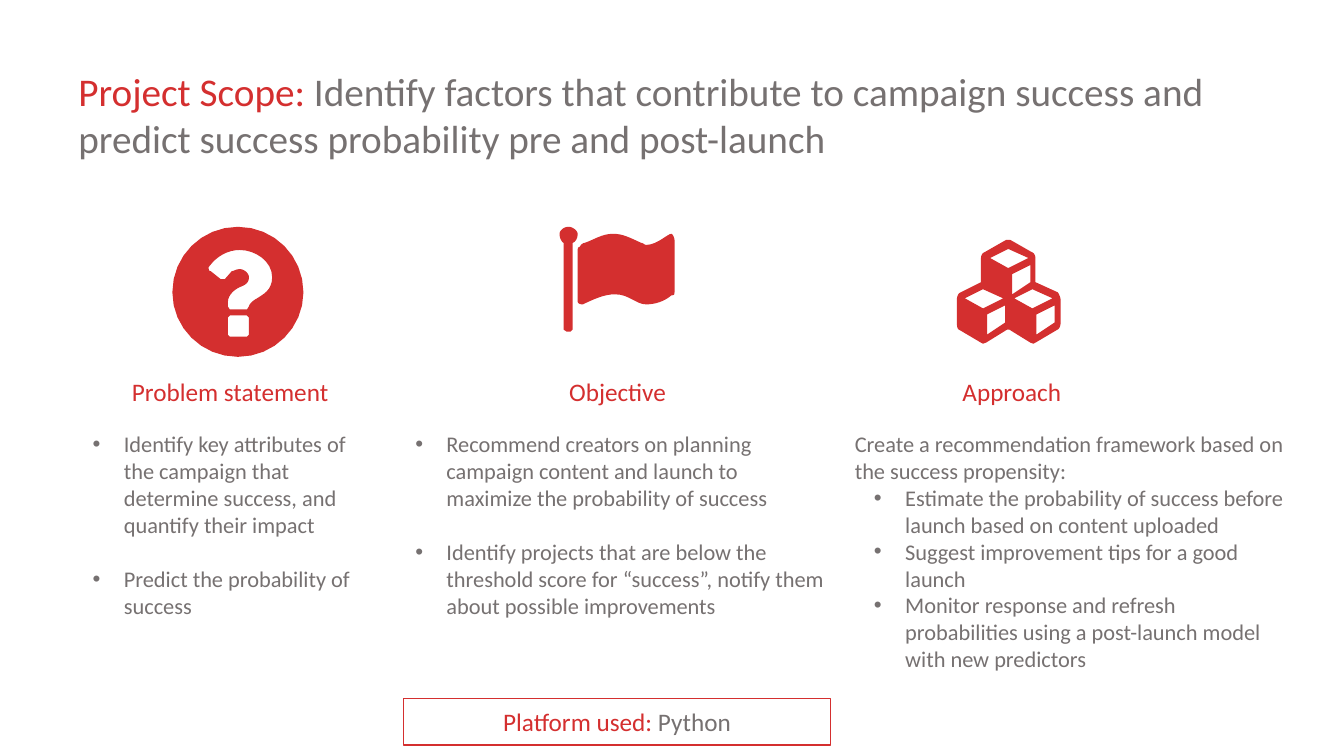
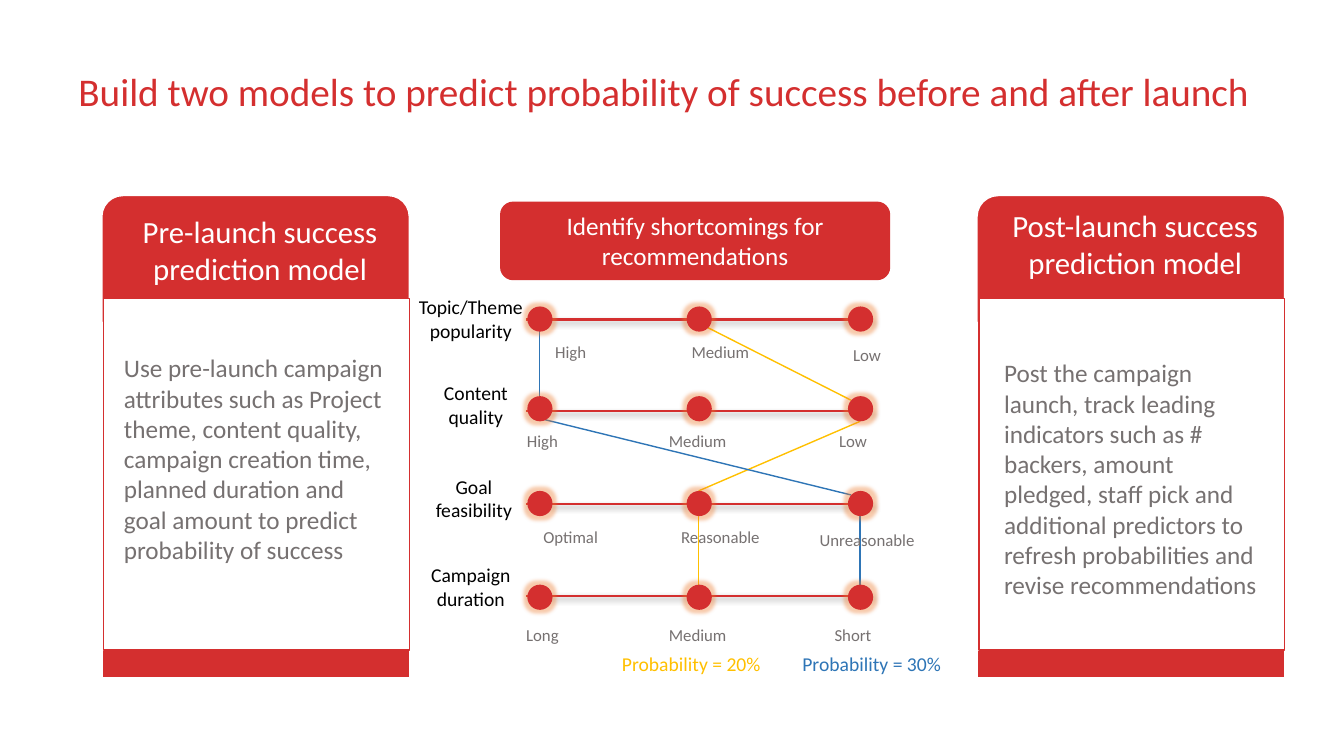
from dataclasses import dataclass

from pptx import Presentation
from pptx.dml.color import RGBColor
from pptx.enum.shapes import MSO_CONNECTOR, MSO_SHAPE
from pptx.enum.text import MSO_ANCHOR, PP_ALIGN
from pptx.oxml import parse_xml
from pptx.oxml.ns import nsdecls, qn
from pptx.oxml.xmlchemy import OxmlElement
from pptx.util import Pt

PX = 9144
CENTER = PP_ALIGN.CENTER


@dataclass(frozen=True)
class Theme:
    """Colours, font and type sizes shared by the slides."""
    font: str = "Calibri"
    red: str = "D42F2F"
    grey: str = "767171"
    black: str = "000000"
    white: str = "FFFFFF"
    yellow: str = "FFC000"
    blue: str = "2E75B6"
    glow: str = "ED7D31"
    title: int = 28
    card: int = 22
    head: int = 18
    body: int = 16
    label: int = 14
    small: int = 12


T = Theme()


def write(p, text, size=T.body, color=T.grey):
    """Add a formatted run to a paragraph."""
    r = p.add_run()
    r.text = text
    r.font.name = T.font
    r.font.size = Pt(size)
    r.font.color.rgb = RGBColor.from_string(color)


def bullet(p, left, hang):
    """Give a paragraph a hanging round bullet."""
    pPr = p._p.get_or_add_pPr()
    pPr.set("marL", str(left * PX))
    pPr.set("indent", str(-hang * PX))
    for tag, key, value in (("a:buFont", "typeface", "Arial"), ("a:buChar", "char", "•")):
        el = OxmlElement(tag)
        el.set(key, value)
        pPr.append(el)


def effect(shape, tag=None, color=T.black, alpha=40, **attrs):
    """Replace inherited effects with none or with a single one."""
    spPr = shape._element.spPr
    effects = spPr.find(qn("a:effectLst"))
    if effects is None:
        effects = OxmlElement("a:effectLst")
        spPr.append(effects)
    if tag:
        listed = " ".join(f'{k}="{v}"' for k, v in attrs.items())
        effects.append(parse_xml(
            f'<a:{tag} {nsdecls("a")} {listed}><a:srgbClr val="{color}">'
            f'<a:alpha val="{alpha * 1000}"/></a:srgbClr></a:{tag}>'))


def flatten(contour, steps=8):
    """Turn points and six-number Bezier curves into points in EMU."""
    points = []
    for step in contour:
        if len(step) == 2:
            points.append(step)
            continue
        x0, y0 = points[-1]
        x1, y1, x2, y2, x3, y3 = step
        for i in range(1, steps + 1):
            t = i / steps
            a, b, c, d = (1 - t) ** 3, 3 * t * (1 - t) ** 2, 3 * t * t * (1 - t), t ** 3
            points.append((a * x0 + b * x1 + c * x2 + d * x3,
                           a * y0 + b * y1 + c * y2 + d * y3))
    return [(round(x * PX), round(y * PX)) for x, y in points]


class Deck:
    """Holds the presentation, the current slide and the drawing style."""

    def __init__(self):
        self.prs = Presentation()
        self.prs.slide_width, self.prs.slide_height = 1333 * PX, 750 * PX
        self.s = None

    def slide(self):
        """Start a blank slide."""
        self.s = self.prs.slides.add_slide(self.prs.slide_layouts[6])

    def text(self, x, y, w, h, *runs, size=T.body, align=None):
        """Add a wrapped text box with one paragraph of (text, colour) runs."""
        tf = self.s.shapes.add_textbox(x * PX, y * PX, w * PX, h * PX).text_frame
        tf.word_wrap = True
        p = tf.paragraphs[0]
        p.alignment = align
        for text, color in runs:
            write(p, text, size=size, color=color)
        return tf

    def title(self, *runs, h=57):
        """Add the slide title."""
        self.text(68, 62, 1190, h, *runs, size=T.title)

    def bullets(self, x, y, w, h, items, intro=None, left=31, gap=0):
        """Add a bulleted list, optionally led by a plain paragraph."""
        tf = self.text(x, y, w, h, *([(intro, T.grey)] if intro else []))
        for i, item in enumerate(items):
            p = tf.add_paragraph() if i or intro else tf.paragraphs[0]
            bullet(p, left, 31)
            if i and gap:
                p.space_before = Pt(gap)
            write(p, item)

    def shape(self, kind, x, y, w, h, fill=None, line=None):
        """Add a preset shape."""
        sp = self.s.shapes.add_shape(kind, x * PX, y * PX, w * PX, h * PX)
        self.paint(sp, fill, line)
        return sp

    def paint(self, sp, fill=None, line=None):
        """Set the fill and outline of a shape and drop its shadow."""
        sp.shadow.inherit = False
        if fill:
            sp.fill.solid()
            sp.fill.fore_color.rgb = RGBColor.from_string(fill)
        else:
            sp.fill.background()
        if line:
            sp.line.color.rgb = RGBColor.from_string(line)
            sp.line.width = Pt(1)
        else:
            sp.line.fill.background()

    def caption(self, sp, *runs, anchor=MSO_ANCHOR.MIDDLE):
        """Write centred text inside a shape."""
        tf = sp.text_frame
        tf.word_wrap = True
        tf.vertical_anchor = anchor
        p = tf.paragraphs[0]
        p.alignment = CENTER
        for text, color in runs:
            write(p, text, size=T.head, color=color)

    def line(self, x1, y1, x2, y2, color=T.red, width=1):
        """Add a straight line."""
        c = self.s.shapes.add_connector(MSO_CONNECTOR.STRAIGHT, x1 * PX, y1 * PX, x2 * PX, y2 * PX)
        c.line.color.rgb = RGBColor.from_string(color)
        c.line.width = Pt(width)
        effect(c)
        return c

    def icon(self, contours):
        """Add a red freeform whose inner contours are holes."""
        first, *rest = [flatten(c) for c in contours]
        fb = self.s.shapes.build_freeform(*first[0], scale=1.0)
        fb.add_line_segments(first[1:], close=True)
        for points in rest:
            fb.move_to(*points[0])
            fb.add_line_segments(points[1:], close=True)
        self.paint(fb.convert_to_shape(), T.red)

    def card(self, x, name, name_y, body, body_x, body_y, body_h):
        """Add a model card with a header, a frame and a base band."""
        self.shape(MSO_SHAPE.ROUND_2_SAME_RECTANGLE, x, 194, 305, 126, T.red, T.white)
        self.shape(MSO_SHAPE.RECTANGLE, x, 645, 305, 27, T.red, T.white)
        self.shape(MSO_SHAPE.RECTANGLE, x + 2, 296, 303, 349, T.white, T.red)
        self.text(x + 5, name_y, 304, 84, (name, T.white), size=T.card, align=CENTER)
        self.text(body_x, body_y, 278, body_h, (body, T.grey), size=T.head)

    def scale(self, row):
        """Add one factor scale: rail, three glowing dots and labels."""
        rail = self.line(522, row.rail, 865, row.rail, width=1.5)
        effect(rail, "outerShdw", blurRad=50800, dist=38100, dir=2700000, algn="tl", rotWithShape=0)
        for x in (523, 681, 841):
            dot = self.shape(MSO_SHAPE.OVAL, x, row.dot, 25, 25, T.red)
            effect(dot, "glow", color=T.glow, rad=63500)
        x, y, w = row.name_at
        self.text(x, y, w, 57, (row.name, T.black), size=T.label, align=CENTER)
        for level, (x, w, drop) in zip(row.levels, row.columns):
            self.text(x, row.level_y + drop, w, 30, (level, T.grey), size=T.small, align=CENTER)


@dataclass
class Scale:
    """Wording and places of one factor scale."""
    name: str
    name_at: tuple
    rail: int
    dot: int
    levels: tuple
    level_y: int
    columns: tuple


WIDE = ((504, 124, 0), (645, 139, 0), (798, 124, 3))
NARROW = ((476, 124, 0), (630, 124, 0), (784, 124, 0))
SCALES = (
    Scale("Topic/Theme popularity", (404, 288, 126), 317, 304, ("High", "Medium", "Low"), 334, WIDE),
    Scale("Content quality", (421, 373, 102), 408, 393, ("High", "Medium", "Low"), 422, NARROW),
    Scale("Goal feasibility", (419, 466, 102), 500, 487, ("Optimal", "Reasonable", "Unreasonable"), 518, WIDE),
    Scale("Campaign duration", (416, 554, 102), 591, 580, ("Long", "Medium", "Short"), 615, NARROW),
)
ROUTES = {
    T.yellow: ((693, 512, 693, 580), (853, 418, 693, 487), (702, 325, 844, 397)),
    T.blue: ((853, 512, 853, 580), (535, 415, 844, 491), (535, 327, 535, 393)),
}

QUESTION = (
    ((236, 354), (200, 354, 171, 325, 171, 290), (171, 254, 200, 225, 236, 225),
     (272, 225, 301, 254, 301, 290), (301, 325, 272, 354, 236, 354)),
    ((238, 248), (226, 248, 215, 254, 207, 265), (207, 267, 207, 269, 209, 269),
     (219, 277), (223, 277), (230, 269), (232, 269, 234, 267, 238, 267),
     (242, 267, 247, 271, 247, 275), (247, 279, 245, 282, 240, 284),
     (234, 286, 226, 292, 226, 300), (226, 304), (228, 307), (245, 307), (247, 304),
     (247, 302, 251, 298, 255, 296), (261, 292, 270, 288, 270, 275),
     (270, 259, 253, 248, 238, 248)),
    ((247, 315), (245, 313), (228, 313), (226, 315), (226, 332), (228, 334), (245, 334), (247, 332)),
)
FLAG = (
    ((568, 241), (568, 327), (566, 329), (562, 329), (559, 327), (559, 241),
     (557, 240, 555, 236, 555, 232), (555, 229, 559, 225, 564, 225),
     (568, 225, 573, 229, 573, 232), (573, 236, 571, 240, 568, 241)),
    ((669, 290), (669, 292, 669, 293, 666, 293), (659, 299, 650, 302, 641, 302),
     (631, 302, 624, 292, 610, 292), (599, 292, 589, 297, 578, 302),
     (575, 302, 573, 301, 573, 299), (573, 249), (573, 247, 573, 245, 575, 245),
     (576, 243, 578, 241, 580, 241), (589, 238, 597, 232, 608, 232),
     (618, 232, 625, 236, 636, 241), (638, 241, 639, 243, 641, 243),
     (652, 243, 662, 232, 666, 232), (667, 232, 669, 236, 669, 238)),
)
CUBE_FACES = (((995, 296), (975, 287), (957, 296), (975, 306)),
              ((997, 320), (997, 303), (979, 312), (979, 332)))
CUBES = (
    ((1052, 320), (1052, 324, 1050, 327, 1049, 327), (1027, 340), (1025, 341), (1022, 340),
     (1001, 327), (999, 327), (978, 340), (975, 341), (973, 340), (951, 327),
     (950, 327, 949, 324, 949, 320), (949, 298), (949, 295, 950, 291, 953, 290),
     (973, 280), (973, 256), (973, 254, 974, 251, 977, 250), (998, 238), (1002, 238),
     (1023, 250), (1026, 251, 1027, 254, 1027, 256), (1027, 280), (1049, 290),
     (1050, 291, 1052, 295, 1052, 298)),
    *(tuple((x + dx, y + dy) for x, y in face)
      for dx, dy in ((0, 0), (25, -40), (49, 0)) for face in CUBE_FACES),
)


def scope_slide(deck):
    """Build the project scope slide."""
    deck.slide()
    deck.title(("Project Scope: ", T.red),
               ("Identify factors that contribute to campaign success and predict success "
                "probability pre and post-launch", T.grey), h=104)
    for x, head, align, icon in ((121, "Problem statement", None, QUESTION),
                                 (498, "Objective", CENTER, FLAG),
                                 (889, "Approach", CENTER, CUBES)):
        deck.icon(icon)
        deck.text(x, 368, 229, 40, (head, T.red), size=T.head, align=align)
    deck.bullets(82, 422, 295, 199, (
        "Identify key attributes of the campaign that determine success, and quantify their impact",
        "Predict the probability of success"), gap=19.5)
    deck.bullets(402, 422, 425, 199, (
        "Recommend creators on planning campaign content and launch to maximize the probability of success",
        "Identify projects that are below the threshold score for “success”, notify them about "
        "possible improvements"), gap=19.5)
    deck.bullets(838, 422, 447, 279, (
        "Estimate the probability of success before launch based on content uploaded",
        "Suggest improvement tips for a good launch",
        "Monitor response and refresh probabilities using a post-launch model with new predictors"),
        intro="Create a recommendation framework based on the success propensity:", left=50)
    box = deck.shape(MSO_SHAPE.RECTANGLE, 400, 693, 424, 46, line=T.red)
    deck.caption(box, ("Platform used: ", T.red), ("Python", T.grey))


def models_slide(deck):
    """Build the two models slide."""
    deck.slide()
    for color, legs in ROUTES.items():
        for leg in legs:
            deck.line(*leg, color=color)
    deck.title(("Build two models to predict probability of success before and after launch", T.red))
    deck.card(101, "Pre-launch success prediction model", 206,
              "Use pre-launch campaign attributes such as Project theme, content quality, campaign "
              "creation time, planned duration and goal amount to predict probability of success",
              113, 345, 222)
    for row in SCALES:
        deck.scale(row)
    for x, w, share, color in ((786, 177, 30, T.blue), (607, 166, 20, T.yellow)):
        deck.text(x, 642, w, 34, (f"Probability = {share}%", color), size=T.label)
    banner = deck.shape(MSO_SHAPE.ROUNDED_RECTANGLE, 496, 200, 387, 78, T.red)
    deck.caption(banner, ("Identify shortcomings for recommendations", T.white), anchor=MSO_ANCHOR.TOP)
    deck.card(969, "Post-launch success prediction model", 200,
              "Post the campaign launch, track leading indicators such as # backers, amount pledged, "
              "staff pick and additional predictors to refresh probabilities and revise recommendations",
              986, 350, 252)


def main():
    """Build and save the deck."""
    deck = Deck()
    scope_slide(deck)
    models_slide(deck)
    deck.prs.save("out.pptx")


if __name__ == "__main__":
    main()
